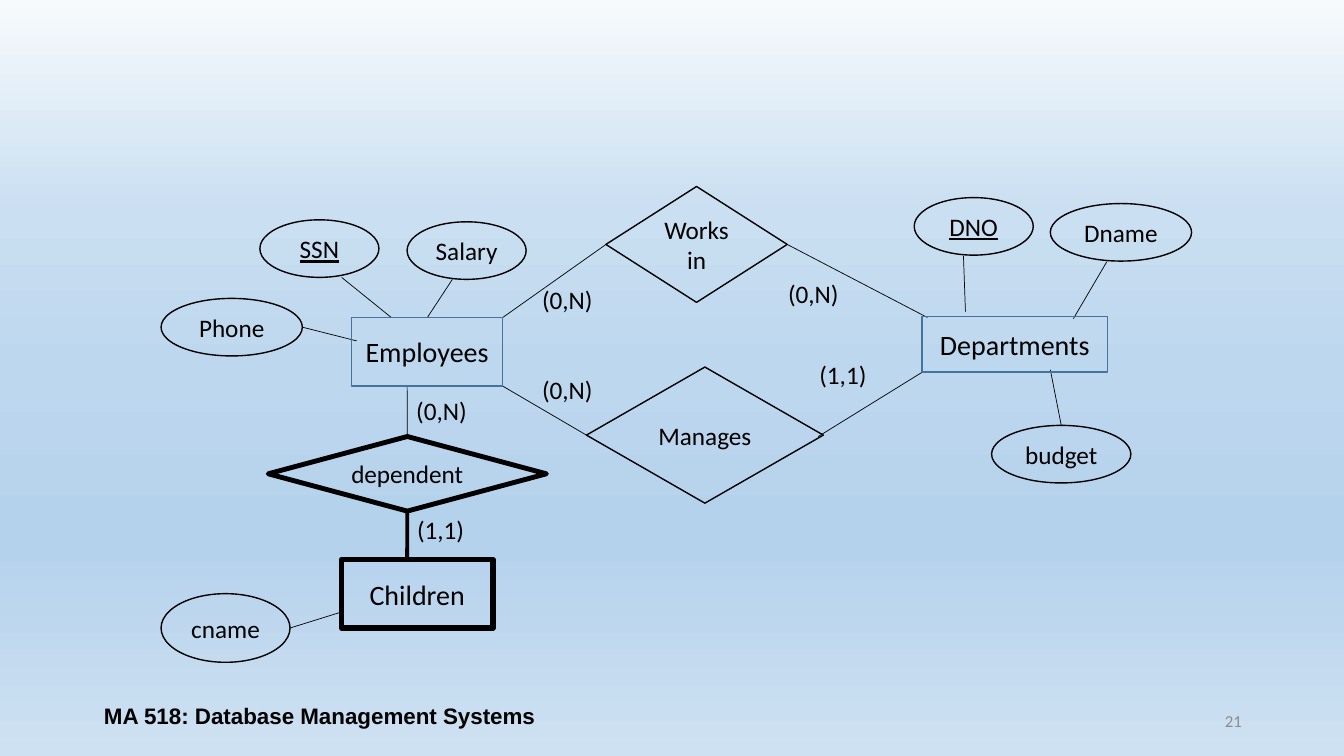
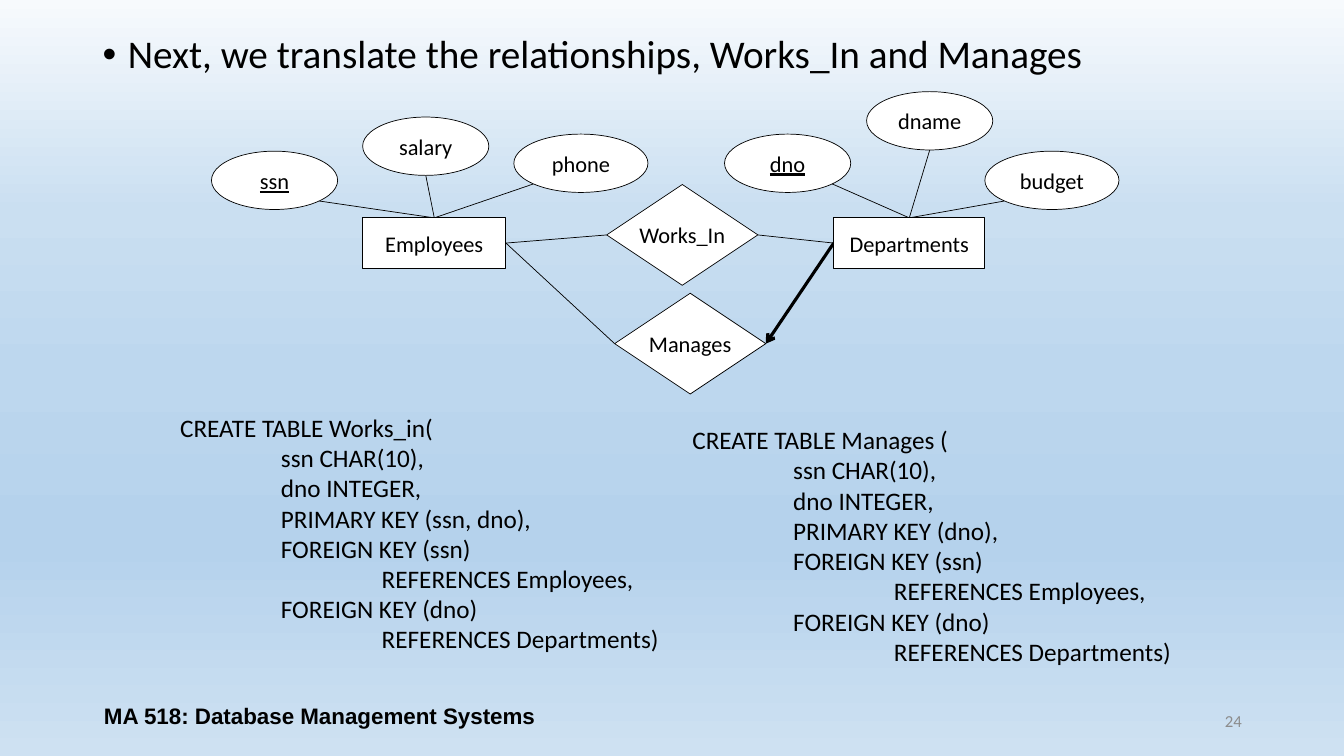
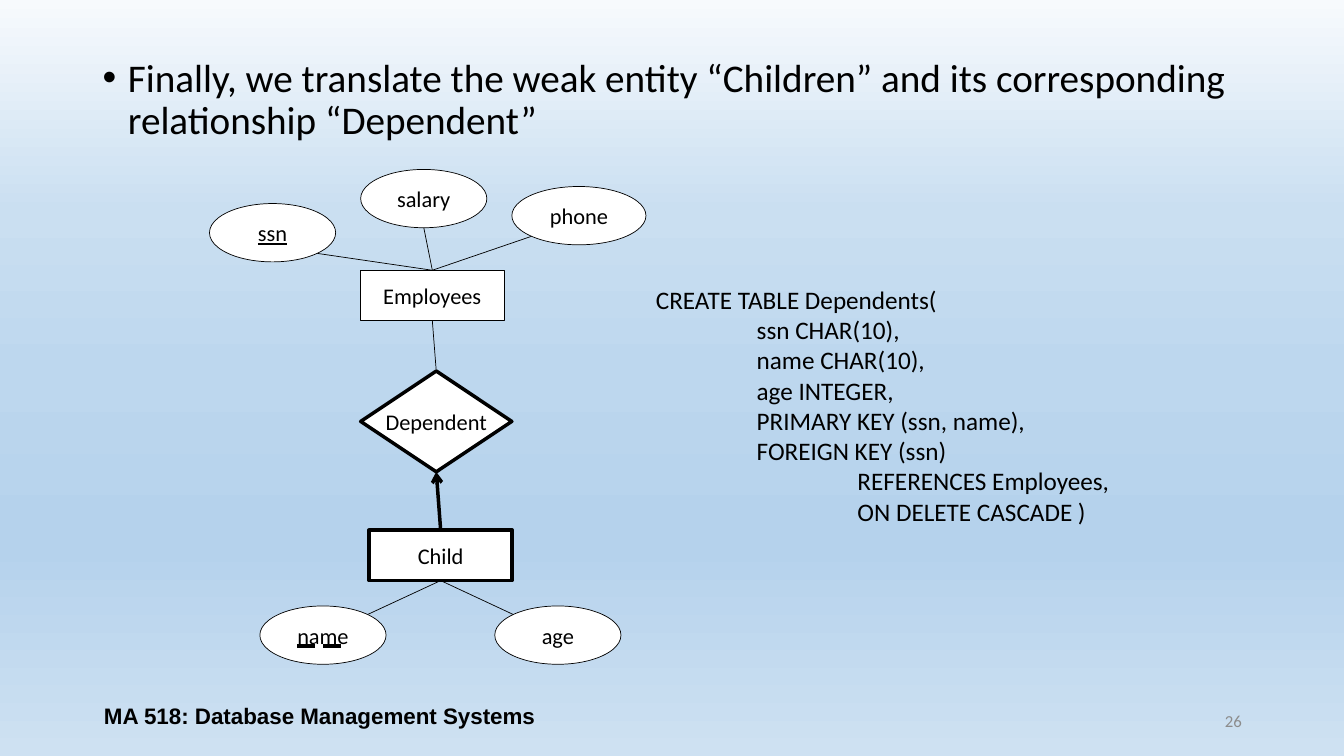
from dataclasses import dataclass

from lxml.etree import SubElement
from pptx import Presentation
from pptx.dml.color import RGBColor
from pptx.enum.dml import MSO_FILL
from pptx.enum.shapes import MSO_CONNECTOR, MSO_SHAPE
from pptx.enum.text import MSO_ANCHOR, MSO_AUTO_SIZE, MSO_UNDERLINE, PP_ALIGN
from pptx.oxml.ns import qn
from pptx.presentation import Presentation as Deck
from pptx.shapes.autoshape import Shape
from pptx.slide import Slide
from pptx.text.text import TextFrame
from pptx.util import Cm, Pt

ENTITY, ATTRIBUTE, RELATION = MSO_SHAPE.RECTANGLE, MSO_SHAPE.OVAL, MSO_SHAPE.DIAMOND
STRAIGHT = MSO_CONNECTOR.STRAIGHT
GRADIENT = MSO_FILL.GRADIENT
MIDDLE, TOP = MSO_ANCHOR.MIDDLE, MSO_ANCHOR.TOP
FIT_SHAPE = MSO_AUTO_SIZE.SHAPE_TO_FIT_TEXT
DASHED = MSO_UNDERLINE.DASH_HEAVY_LINE
LEFT, CENTER, RIGHT = PP_ALIGN.LEFT, PP_ALIGN.CENTER, PP_ALIGN.RIGHT


@dataclass(frozen=True)
class Theme:
    font: str = "Calibri"
    footer_font: str = "Arial"
    ink: str = "000000"
    paper: str = "FFFFFF"
    muted: str = "8C8C8C"
    blue: str = "43739E"
    gradient: tuple[tuple[int, str], ...] = (
        (0, "F7FAFD"), (28, "CADFF1"), (49, "BDD7EE"),
        (71, "B5D2EC"), (72, "B5D2EC"), (100, "CEE1F2"),
    )
    headline: int = 28
    entity: int = 20
    body: int = 18
    small: int = 16
    number: int = 12
    thin: float = 0.5


THEME = Theme()


@dataclass(frozen=True)
class DiagramStyle:
    fill: str | None
    entity_line: str
    weight: float
    entity_size: int
    size: int
    tight_relations: bool


OPEN_STYLE = DiagramStyle(None, THEME.blue, 1, THEME.entity, THEME.body, False)
SOLID_STYLE = DiagramStyle(THEME.paper, THEME.ink, THEME.thin, THEME.small, THEME.small, True)


@dataclass(frozen=True)
class Box:
    left: float
    top: float
    width: float
    height: float


@dataclass(frozen=True)
class Node:
    text: str
    kind: MSO_SHAPE
    box: Box
    underline: bool | MSO_UNDERLINE = False
    weight: float | None = None


Point = tuple[float, float]
End = str | Point


@dataclass(frozen=True)
class Link:
    start: End
    end: End
    weight: float = THEME.thin
    arrow: bool = False


@dataclass(frozen=True)
class Label:
    text: str
    left: float
    top: float


@dataclass(frozen=True)
class Code:
    box: Box
    lines: tuple[tuple[int, str], ...]


NEAR, FAR = 0.146, 0.854
SITES: dict[str, Point] = {
    "top": (0.5, 0), "bottom": (0.5, 1), "left": (0, 0.5), "right": (1, 0.5),
    "tl": (NEAR, NEAR), "tr": (FAR, NEAR), "bl": (NEAR, FAR), "br": (FAR, FAR),
    "ne": (1, 0), "se": (1, 1), "sw": (0, 1),
}
HEADLINE_WIDTH, HEADLINE_HEIGHT = 29.21, 12.09
FOOTER_BOX = Box(2.34, 17.53, 11.43, 1.02)
NUMBER_BOX = Box(23.93, 17.65, 7.62, 1.02)
TAB = 2.54


def rgb(color: str) -> RGBColor:
    return RGBColor.from_string(color)


def emu(box: Box) -> tuple[Cm, Cm, Cm, Cm]:
    return Cm(box.left), Cm(box.top), Cm(box.width), Cm(box.height)


def write(tf: TextFrame, text: str, size: int, align: PP_ALIGN = LEFT,
          color: str = THEME.ink, font: str = THEME.font, bold: bool = False,
          underline: bool | MSO_UNDERLINE = False) -> None:
    for i, line in enumerate(text.split("\n")):
        p = tf.add_paragraph() if i else tf.paragraphs[0]
        p.text = line
        p.alignment = align
        p.font.name, p.font.size, p.font.bold = font, Pt(size), bold
        p.font.color.rgb = rgb(color)
        if underline:
            p.runs[0].font.underline = underline


def add_text(s: Slide, box: Box, anchor: MSO_ANCHOR = TOP, wrap: bool = True) -> TextFrame:
    tf = s.shapes.add_textbox(*emu(box)).text_frame
    tf.word_wrap = wrap
    tf.vertical_anchor = anchor
    return tf


def add_headline(s: Slide, text: str, top: float) -> None:
    tf = add_text(s, Box(2.34, top, HEADLINE_WIDTH, HEADLINE_HEIGHT))
    write(tf, text, THEME.headline)
    p = tf.paragraphs[0]
    p.line_spacing, p.space_before = 0.9, Pt(10)
    props = p._p.get_or_add_pPr()
    props.set("marL", str(Cm(TAB / 4)))
    props.set("indent", str(-Cm(TAB / 4)))
    SubElement(props, qn("a:buFont"), typeface=THEME.footer_font)
    SubElement(props, qn("a:buChar"), char="•")


def add_code(s: Slide, code: Code) -> None:
    tf = add_text(s, code.box)
    tf.auto_size = FIT_SHAPE
    write(tf, "\n".join(text for _, text in code.lines), THEME.body)
    for p, (depth, _) in zip(tf.paragraphs, code.lines):
        p._p.get_or_add_pPr().set("marL", str(Cm(depth * TAB)))


def add_node(s: Slide, node: Node, style: DiagramStyle) -> Shape:
    sp = s.shapes.add_shape(node.kind, *emu(node.box))
    sp.shadow.inherit = False
    if style.fill:
        sp.fill.solid()
        sp.fill.fore_color.rgb = rgb(style.fill)
    else:
        sp.fill.background()
    is_entity = node.kind == ENTITY
    plain_entity = is_entity and node.weight is None
    sp.line.color.rgb = rgb(style.entity_line if plain_entity else THEME.ink)
    sp.line.width = Pt(node.weight or style.weight)
    tf = sp.text_frame
    tf.vertical_anchor = MIDDLE
    tf.word_wrap = True
    if style.tight_relations and node.kind == RELATION:
        tf.word_wrap = False
        tf.margin_left = tf.margin_right = tf.margin_top = tf.margin_bottom = 0
    size = style.entity_size if is_entity else style.size
    write(tf, node.text, size, CENTER, underline=node.underline)
    return sp


def locate(end: End, boxes: dict[str, Box]) -> tuple[Cm, Cm]:
    if isinstance(end, str):
        name, site = end.split(".")
        box, (fx, fy) = boxes[name], SITES[site]
        end = (box.left + fx * box.width, box.top + fy * box.height)
    return Cm(end[0]), Cm(end[1])


def add_link(s: Slide, link: Link, boxes: dict[str, Box]) -> None:
    cxn = s.shapes.add_connector(STRAIGHT, *locate(link.start, boxes), *locate(link.end, boxes))
    cxn.line.color.rgb = rgb(THEME.ink)
    cxn.line.width = Pt(link.weight)
    if link.arrow:
        SubElement(cxn.line._get_or_add_ln(), qn("a:tailEnd"), type="arrow")
    SubElement(cxn._element.spPr, qn("a:effectLst"))


def add_diagram(s: Slide, nodes: list[Node], links: list[Link], style: DiagramStyle) -> None:
    boxes = {node.text: node.box for node in nodes}
    for link in links:
        add_link(s, link, boxes)
    for node in nodes:
        add_node(s, node, style)


def set_background(prs: Deck) -> None:
    fill = prs.slide_master.background.fill
    fill.gradient()
    if fill.type == GRADIENT:
        fill.gradient_angle = 270
    stops = prs.slide_master._element.find(".//" + qn("a:gsLst"))
    stops.clear()
    for percent, color in THEME.gradient:
        stop = SubElement(stops, qn("a:gs"), pos=str(percent * 1000))
        SubElement(stop, qn("a:srgbClr"), val=color)


def add_slide(prs: Deck, number: int) -> Slide:
    s = prs.slides.add_slide(prs.slide_layouts[6])
    write(add_text(s, NUMBER_BOX, MIDDLE), str(number), THEME.number, RIGHT, THEME.muted)
    write(add_text(s, FOOTER_BOX, MIDDLE), "MA 518: Database Management Systems",
          THEME.small, CENTER, font=THEME.footer_font, bold=True)
    return s


def oval(text: str, left: float, top: float, width: float = 3.18, height: float = 1.47,
         underline: bool | MSO_UNDERLINE = False) -> Node:
    return Node(text, ATTRIBUTE, Box(left, top, width, height), underline)


def employee_nodes(left: float, top: float) -> list[Node]:
    return [
        Node("Employees", ENTITY, Box(left, top, 3.61, 1.27)),
        oval("ssn", left - 3.81, top - 1.68, underline=True),
        oval("salary", left, top - 2.54),
        oval("phone", left + 3.81, top - 2.11, 3.38),
    ]


EMPLOYEE_LINKS = [
    Link("ssn.br", "Employees.top"),
    Link("salary.bottom", "Employees.top"),
    Link("phone.bl", "Employees.top"),
]


def build_er_model(prs: Deck) -> None:
    s = add_slide(prs, 21)
    nodes = [
        Node("Departments", ENTITY, Box(23.24, 7.98, 4.67, 1.4)),
        Node("Employees", ENTITY, Box(8.86, 8, 3.81, 1.73)),
        Node("Children", ENTITY, Box(8.61, 14.1, 3.81, 1.73), weight=4),
        Node("Works in", RELATION, Box(15.27, 4.7, 4.57, 2.92)),
        Node("Manages", RELATION, Box(14.78, 9.25, 5.97, 3.43)),
        Node("dependent", RELATION, Box(6.76, 11, 7.01, 1.88), weight=3.5),
        oval("SSN", 6.55, 5.54, 3, 1.45, True),
        oval("Salary", 10.26, 5.59, 3, 1.45),
        oval("Phone", 4.06, 7.52, 3.56, 1.45),
        oval("DNO", 23.04, 4.98, 3, 1.45, True),
        oval("Dname", 26.47, 5.13, 3.56, 1.45),
        oval("budget", 24.99, 10.72, 3.51, 1.45),
        oval("cname", 4.06, 14.96, 3.25, 1.73),
    ]
    links = [
        Link((11.4, 7.04), (10.77, 8)),
        Link((8.61, 6.99), (9.86, 8)),
        Link("Phone.right", (8.99, 8.59)),
        Link("Employees.ne", "Works in.left"),
        Link("Works in.right", (23.37, 8)),
        Link("Employees.se", "Manages.left"),
        Link((20.62, 11), "Departments.sw"),
        Link((26.47, 9.32), "budget.top"),
        Link((24.28, 6.45), (24.33, 7.85)),
        Link((27.89, 6.6), (27.05, 8.03)),
        Link((10.26, 14.1), "dependent.bottom", 2.75),
        Link("dependent.top", (10.26, 9.75)),
        Link("cname.right", (8.61, 15.42)),
    ]
    add_diagram(s, nodes, links, OPEN_STYLE)
    labels = [
        Label("(0,N)", 13.41, 7.04), Label("(0,N)", 19.61, 6.88),
        Label("(0,N)", 13.41, 9.32), Label("(1,1)", 20.4, 8.94),
        Label("(1,1)", 10.26, 12.83), Label("(0,N)", 10.24, 9.83),
    ]
    for label in labels:
        tf = add_text(s, Box(label.left, label.top, 1.8, 1.02), wrap=False)
        write(tf, label.text, THEME.body)


def relation_code(box: Box, opening: str, key: str) -> Code:
    return Code(box, (
        (0, opening),
        (1, "ssn CHAR(10),"),
        (1, "dno INTEGER,"),
        (1, f"PRIMARY KEY ({key}),"),
        (1, "FOREIGN KEY (ssn)"),
        (2, "REFERENCES Employees,"),
        (1, "FOREIGN KEY (dno)"),
        (2, "REFERENCES Departments)"),
    ))


def build_relationships(prs: Deck) -> None:
    s = add_slide(prs, 24)
    add_headline(s, "Next, we translate the relationships, Works_In and Manages", 0.76)
    nodes = employee_nodes(9.14, 5.49) + [
        Node("Departments", ENTITY, Box(21.01, 5.49, 3.81, 1.27)),
        oval("budget", 24.82, 3.81, 3.38),
        oval("dno", 18.26, 3.38, underline=True),
        oval("dname", 21.84, 2.31),
        Node("Works_In", RELATION, Box(15.29, 4.65, 3.81, 2.54)),
        Node("Manages", RELATION, Box(15.49, 7.39, 3.81, 2.54)),
    ]
    links = EMPLOYEE_LINKS + [
        Link("dno.br", "Departments.top"),
        Link("dname.bottom", "Departments.top"),
        Link("budget.bl", "Departments.top"),
        Link("Employees.right", "Works_In.left"),
        Link("Works_In.right", "Departments.left"),
        Link("Employees.right", "Manages.left"),
        Link("Departments.left", "Manages.right", 2.25, True),
    ]
    add_diagram(s, nodes, links, SOLID_STYLE)
    add_code(s, relation_code(Box(4.29, 10.26, 13.34, 6.4), "CREATE TABLE Works_in(", "ssn, dno"))
    add_code(s, relation_code(Box(17.2, 10.57, 13.13, 6.4), "CREATE TABLE Manages (", "dno"))


def build_weak_entity(prs: Deck) -> None:
    s = add_slide(prs, 26)
    add_headline(s, "Finally, we translate the weak entity “Children” and its "
                    "corresponding relationship “Dependent”", 1.35)
    nodes = employee_nodes(9.09, 6.81) + [
        Node("Child", ENTITY, Box(9.3, 13.36, 3.61, 1.27), weight=2.5),
        Node("Dependent", RELATION, Box(9.09, 9.35, 3.81, 2.54), weight=2.5),
        oval("name", 6.55, 15.27, underline=DASHED),
        oval("age", 12.47, 15.27),
    ]
    links = EMPLOYEE_LINKS + [
        Link("Child.bottom", "age.tl"),
        Link("Child.bottom", "name.tr"),
        Link("Employees.bottom", "Dependent.top"),
        Link("Child.top", "Dependent.bottom", 2.5, True),
    ]
    add_diagram(s, nodes, links, SOLID_STYLE)
    add_code(s, Code(Box(16.28, 7.04, 12.5, 6.4), (
        (0, "CREATE TABLE Dependents("),
        (1, "ssn CHAR(10),"),
        (1, "name CHAR(10),"),
        (1, "age INTEGER,"),
        (1, "PRIMARY KEY (ssn, name),"),
        (1, "FOREIGN KEY (ssn)"),
        (2, "REFERENCES Employees,"),
        (2, "ON DELETE CASCADE )"),
    )))


def main() -> None:
    prs = Presentation()
    prs.slide_width, prs.slide_height = Cm(33.87), Cm(19.05)
    set_background(prs)
    build_er_model(prs)
    build_relationships(prs)
    build_weak_entity(prs)
    prs.save("out.pptx")


main()
